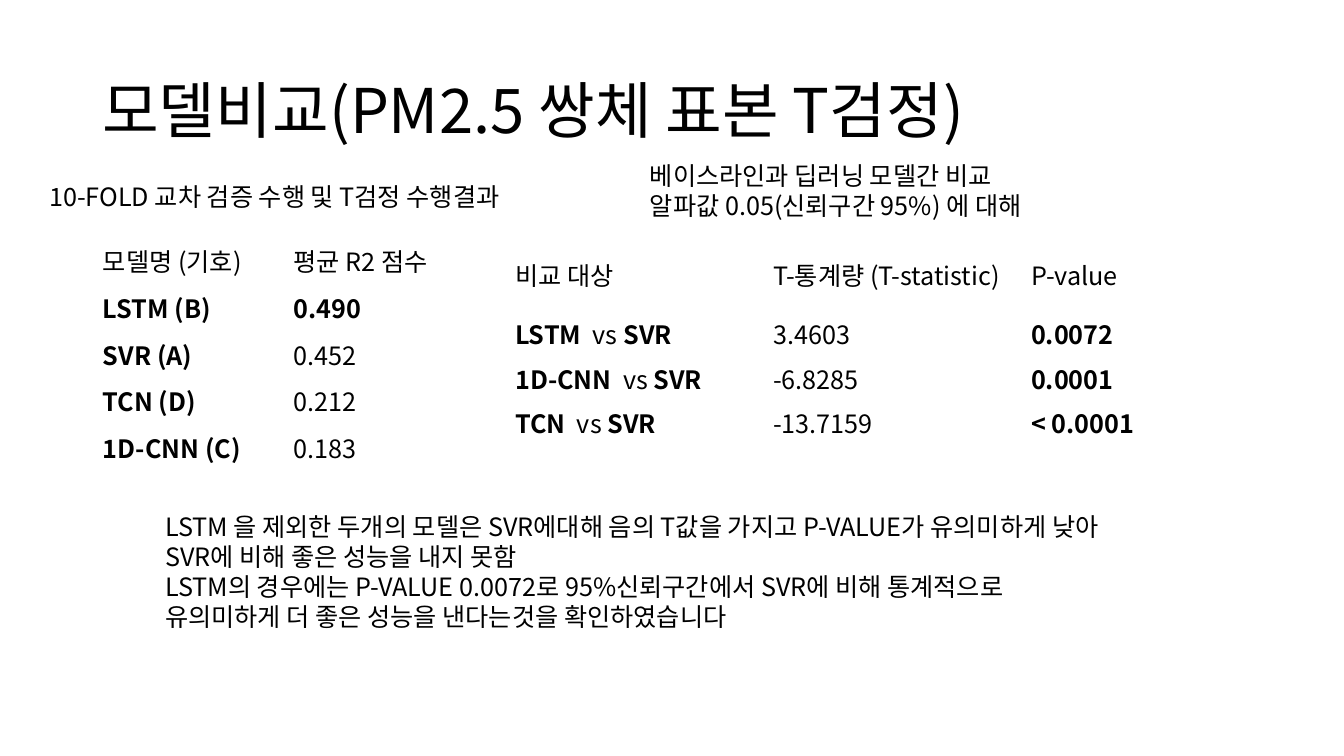
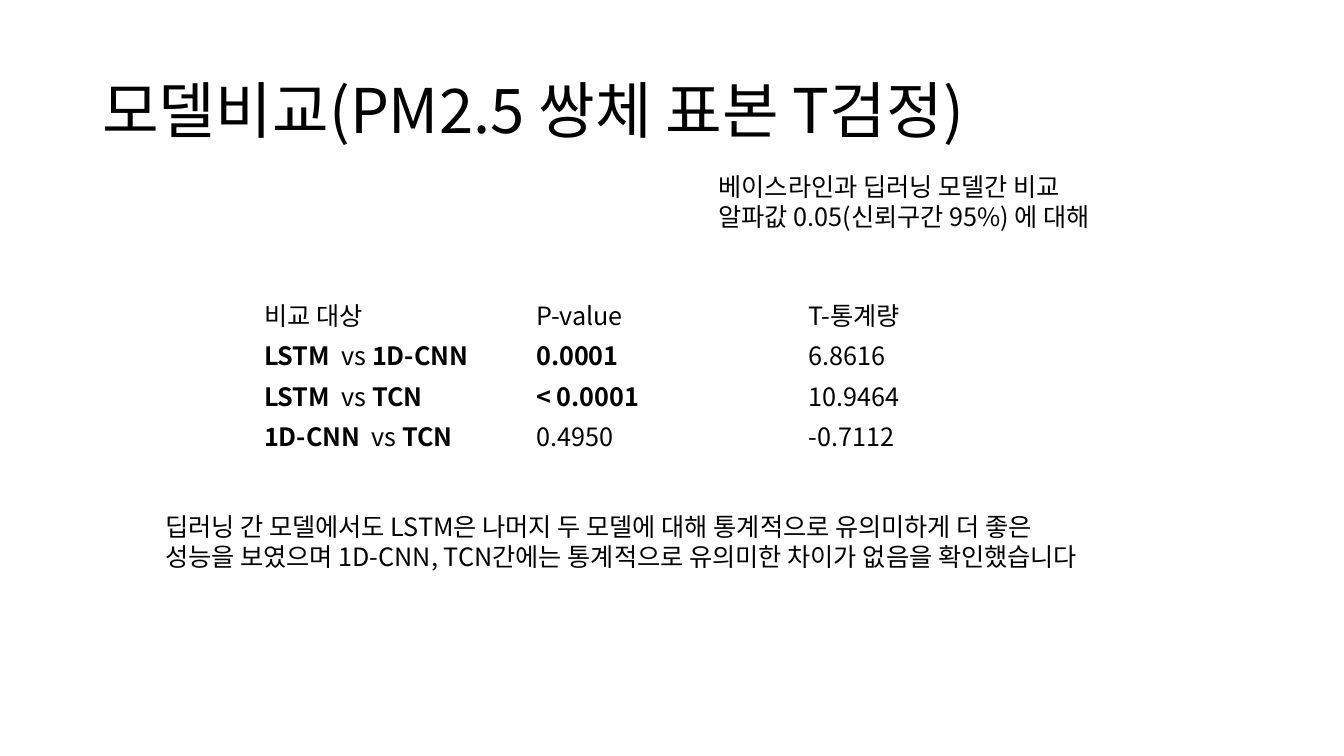
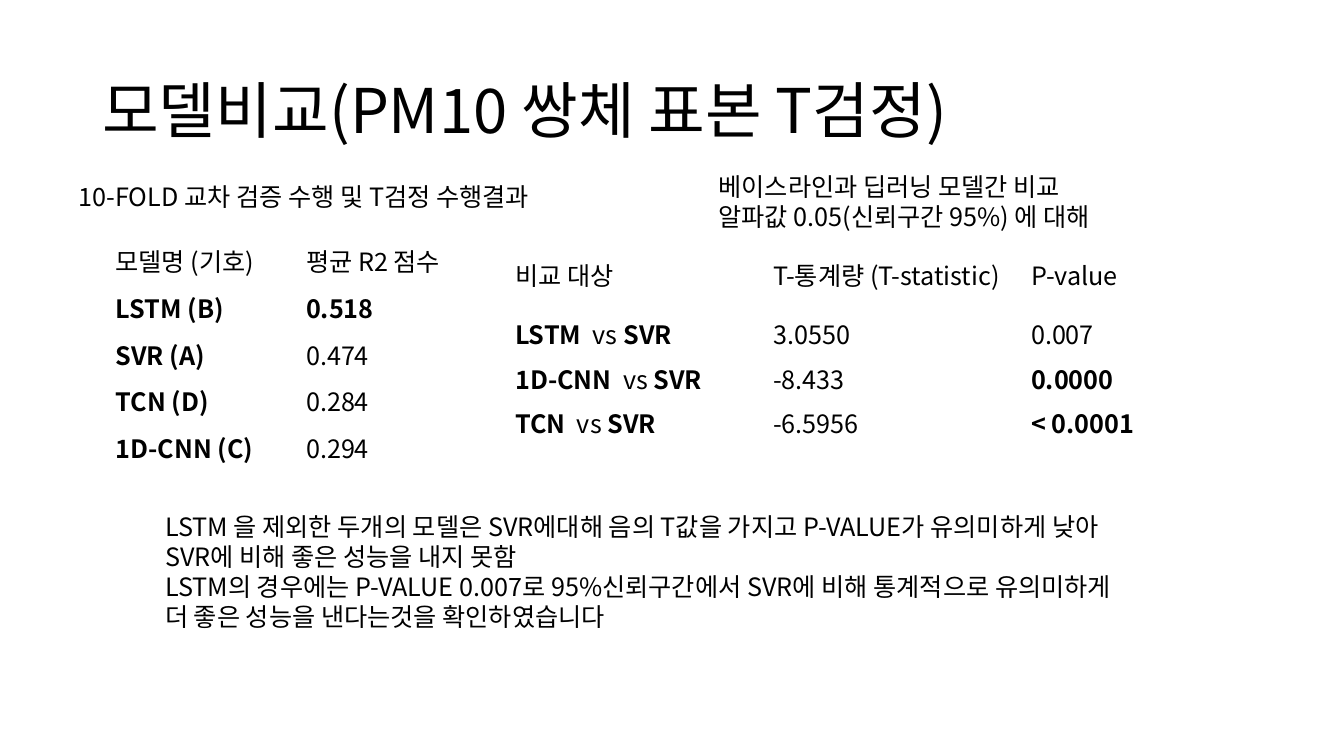
from pptx import Presentation
from pptx.dml.color import RGBColor
from pptx.enum.text import MSO_ANCHOR
from pptx.util import Cm, Pt

MIDDLE, TOP = MSO_ANCHOR.MIDDLE, MSO_ANCHOR.TOP

THEME = {
    "ink": RGBColor(0, 0, 0),
    "font": "Noto Sans CJK KR",
    "title": {"size": Pt(44), "spacing": 0.9, "anchor": MIDDLE},
    "body": {"size": Pt(18), "spacing": 1.0, "anchor": TOP},
    "cell": {"size": Pt(18)},
}


def format_run(run, style, bold=False):
    values = {"name": THEME["font"], "size": style["size"], "bold": bold}
    for attribute, value in values.items():
        setattr(run.font, attribute, value)
    run.font.color.rgb = THEME["ink"]


def add_text(slide, text, box, style):
    frame = slide.shapes.add_textbox(*map(Cm, box)).text_frame
    frame.text = text
    frame.word_wrap = True
    frame.vertical_anchor = style["anchor"]
    for paragraph in frame.paragraphs:
        paragraph.line_spacing = style["spacing"]
        for run in paragraph.runs:
            format_run(run, style)


FOLD = "10-FOLD 교차 검증 수행 및 T검정 수행결과"
BASELINE = "베이스라인과 딥러닝 모델간 비교\n알파값 0.05(신뢰구간 95%) 에 대해"
CONCLUSION = (
    "LSTM 을 제외한 두개의 모델은 SVR에대해 음의 T값을 가지고 P-VALUE가 유의미하게 "
    "낮아 SVR에 비해 좋은 성능을 내지 못함\n"
    "LSTM의 경우에는 P-VALUE {}로 95%신뢰구간에서 SVR에 비해 통계적으로 "
    "유의미하게 더 좋은 성능을 낸다는것을 확인하였습니다"
)
DEEP_CONCLUSION = (
    "딥러닝 간 모델에서도 LSTM은 나머지 두 모델에 대해 통계적으로 유의미하게 더 좋은\v"
    "성능을 보였으며 1D-CNN, TCN간에는 통계적으로 유의미한 차이가 없음을 확인했습니다"
)

SCORE_HEADER = ("모델명 (기호)", "평균 R2 점수")
MODELS = ("*LSTM (B)*", "*SVR (A)*", "*TCN (D)*", "*1D-CNN (C)*")
TEST_HEADER = ("비교 대상", "T-통계량 (T-statistic)", "P-value")
PAIRS = ("*LSTM * vs *SVR*", "*1D-CNN * vs *SVR*", "*TCN * vs *SVR*")
DEEP_ROWS = [
    ("비교 대상", "P-value", "T-통계량"),
    ("*LSTM * vs *1D-CNN*", "*0.0001*", "6.8616"),
    ("*LSTM * vs *TCN*", "*< 0.0001*", "10.9464"),
    ("*1D-CNN * vs *TCN*", "0.4950", "-0.7112"),
]

SCORES = {"top": 5.97, "column": 4.8, "header": 1.18, "row": 1.18, "margin": 0.13}
TESTS = {"left": 12.73, "top": 5.97, "column": 6.5, "header": 1.88, "row": 1.12, "margin": 0}
DEEP = {"left": 6.4, "top": 7.41, "column": 6.86, "header": 1.02, "row": 1.02, "margin": 0}

baseline_pages = [
    {
        "pollutant": "PM2.5", "p": "0.0072",
        "fold_left": 0.99, "baseline_at": (16.13, 3.91), "scores_left": 2.34,
        "scores": ("*0.490*", "0.452", "0.212", "0.183"),
        "statistics": ("3.4603", "-6.8285", "-13.7159"),
        "p_values": ("*0.0072*", "*0.0001*", "*< 0.0001*"),
    },
    {
        "pollutant": "PM10", "p": "0.007",
        "fold_left": 1.73, "baseline_at": (17.86, 4.19), "scores_left": 2.66,
        "scores": ("*0.518*", "0.474", "0.284", "0.294"),
        "statistics": ("3.0550", "-8.433", "-6.5956"),
        "p_values": ("0.007", "*0.0000*", "*< 0.0001*"),
    },
]

pages = []
for page in baseline_pages:
    pages.append({
        "pollutant": page["pollutant"],
        "texts": [
            (FOLD, (page["fold_left"], 4.45, 15.14, 1.02)),
            (BASELINE, (*page["baseline_at"], 12.7, 1.8)),
            (CONCLUSION.format(page["p"]), (3.91, 12.75, 24.6, 3.33)),
        ],
        "tables": [
            ({**SCORES, "left": page["scores_left"]},
             [SCORE_HEADER, *zip(MODELS, page["scores"])]),
            (TESTS,
             [TEST_HEADER, *zip(PAIRS, page["statistics"], page["p_values"])]),
        ],
    })
pages.insert(1, {
    "pollutant": "PM2.5",
    "texts": [
        (BASELINE, (17.86, 4.19, 12.7, 1.8)),
        (DEEP_CONCLUSION, (3.91, 12.75, 26.34, 1.8)),
    ],
    "tables": [(DEEP, DEEP_ROWS)],
})

deck = Presentation()
deck.slide_width, deck.slide_height = Cm(33.87), Cm(19.05)
blank = deck.slide_layouts[6]

for page in pages:
    slide = deck.slides.add_slide(blank)
    title = f"모델비교({page['pollutant']} 쌍체 표본 T검정)"
    add_text(slide, title, (2.33, 1.02, 29.21, 3.68), THEME["title"])
    for text, box in page["texts"]:
        add_text(slide, text, box, THEME["body"])

    for grid, rows in page["tables"]:
        width = grid["column"] * len(rows[0])
        height = grid["header"] + grid["row"] * (len(rows) - 1)
        table = slide.shapes.add_table(
            len(rows), len(rows[0]),
            Cm(grid["left"]), Cm(grid["top"]), Cm(width), Cm(height),
        ).table
        table.first_row = table.horz_banding = False
        cell_format = {
            "vertical_anchor": MIDDLE,
            "margin_top": Cm(grid["margin"]),
            "margin_bottom": Cm(grid["margin"]),
        }
        for row_index, row in enumerate(rows):
            table.rows[row_index].height = Cm(grid["row" if row_index else "header"])
            for column_index, marked_text in enumerate(row):
                cell = table.cell(row_index, column_index)
                cell.fill.background()
                for attribute, value in cell_format.items():
                    setattr(cell, attribute, value)
                paragraph = cell.text_frame.paragraphs[0]
                for part_index, part in enumerate(marked_text.split("*")):
                    if part:
                        run = paragraph.add_run()
                        run.text = part
                        format_run(run, THEME["cell"], part_index % 2 == 1)

deck.save("out.pptx")
